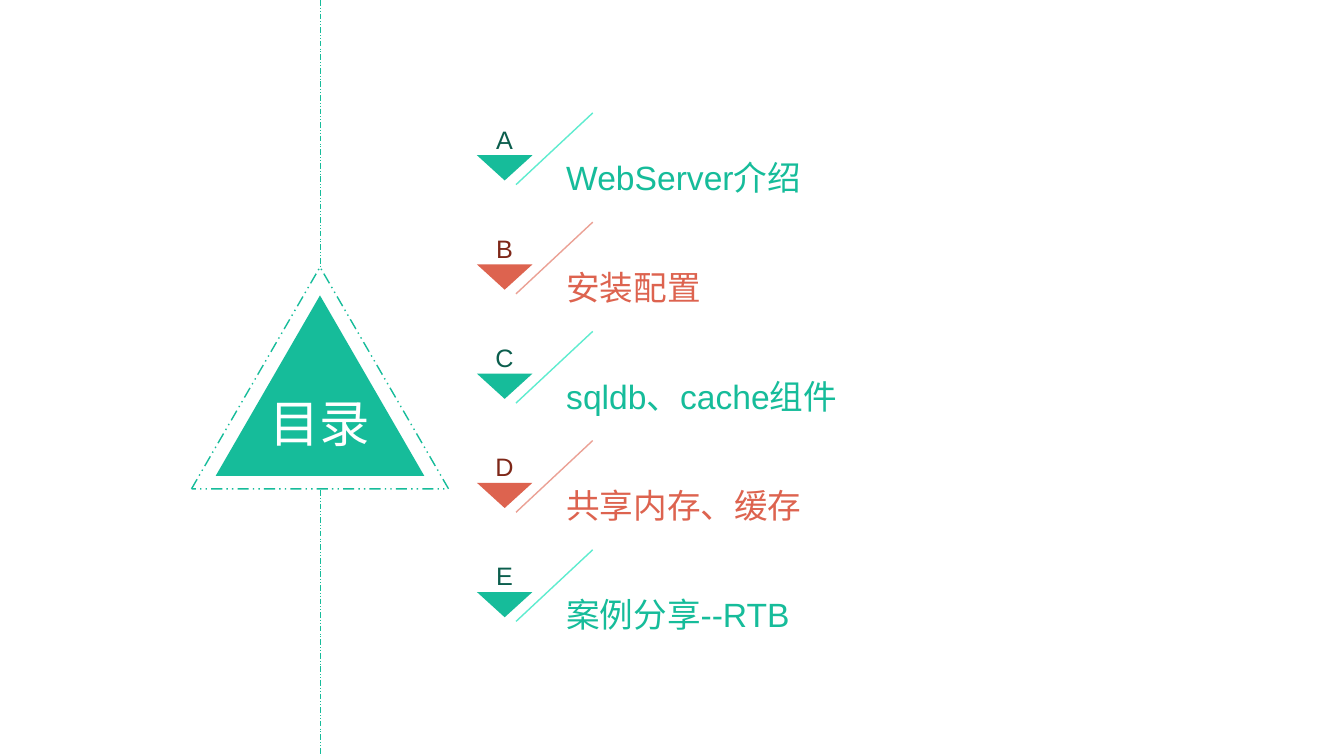
import dataclasses

import lxml.etree
import pptx
import pptx.dml.color
import pptx.enum.dml
import pptx.enum.shapes
import pptx.enum.text
import pptx.oxml.ns
import pptx.util

Pt = pptx.util.Pt
ANCHOR = pptx.enum.text.MSO_ANCHOR
ALIGN = pptx.enum.text.PP_ALIGN
DASH = pptx.enum.dml.MSO_LINE.DASH_DOT_DOT


@dataclasses.dataclass(frozen=True)
class Tone:
    main: str
    light: str
    dark: str


@dataclasses.dataclass(frozen=True)
class Theme:
    green: Tone = Tone("16BC9A", "5EECCF", "0B5E4D")
    red: Tone = Tone("DD634F", "EBA195", "7E2718")
    white: str = "FFFFFF"
    font: str = "Arial"
    title_size: int = 36
    entry_size: int = 24
    letter_size: int = 18


def color(value):
    return pptx.dml.color.RGBColor.from_string(value)


def write(shape, text, *, font, size, fill, align=ALIGN.LEFT,
          anchor=ANCHOR.MIDDLE, insets=(7.2, 3.6, 7.2, 3.6)):
    frame = shape.text_frame
    frame.word_wrap = True
    frame.vertical_anchor = anchor
    (frame.margin_left, frame.margin_top,
     frame.margin_right, frame.margin_bottom) = map(Pt, insets)
    paragraph = frame.paragraphs[0]
    paragraph.alignment = align
    run = paragraph.add_run()
    run.text = text
    run.font.name = font
    run.font.size = Pt(size)
    run.font.color.rgb = color(fill)


class Canvas:
    def __init__(self, slide, theme):
        self.slide = slide
        self.theme = theme
        self.shapes = slide.shapes

    def start_group(self):
        self.shapes = self.slide.shapes.add_group_shape().shapes

    def style(self, shape, fill=None, line=None):
        shape.shadow.inherit = False
        if fill:
            shape.fill.solid()
            shape.fill.fore_color.rgb = color(fill)
        else:
            shape.fill.background()
        if line:
            self.stroke(shape, line, 1, DASH)
        else:
            shape.line.fill.background()

    def stroke(self, shape, line, width, dash=None):
        shape.line.color.rgb = color(line)
        shape.line.width = Pt(width)
        if dash:
            shape.line.dash_style = dash

    def triangle(self, left, top, width, height, **look):
        shape = self.shapes.add_shape(
            pptx.enum.shapes.MSO_SHAPE.ISOSCELES_TRIANGLE,
            Pt(left), Pt(top), Pt(width), Pt(height))
        self.style(shape, **look)
        return shape

    def pointer(self, left, top, width, height, fill):
        builder = self.shapes.build_freeform(Pt(left), Pt(top))
        builder.add_line_segments([
            (Pt(left + width), Pt(top)),
            (Pt(left + width / 2), Pt(top + height))])
        self.style(builder.convert_to_shape(), fill=fill)

    def line(self, start, end, fill, width, dash=None):
        connector = self.shapes.add_connector(
            pptx.enum.shapes.MSO_CONNECTOR.STRAIGHT,
            *map(Pt, (*start, *end)))
        self.stroke(connector, fill, width, dash)
        lxml.etree.SubElement(connector.element.spPr,
                              pptx.oxml.ns.qn("a:effectLst"))

    def label(self, text, left, top, width, height, **text_format):
        shape = self.shapes.add_textbox(
            Pt(left), Pt(top), Pt(width), Pt(height))
        write(shape, text, font=self.theme.font, **text_format)

    def entry(self, letter, text, top, tone):
        self.start_group()
        self.line((423.4, top), (368.6, top + 51.2), tone.light, 1)
        self.pointer(340.7, top + 30.2, 39.6, 18, tone.main)
        self.label(text, 397.4, top + 23, 458.6, 46,
                   size=self.theme.entry_size, fill=tone.main)
        self.label(letter, 339.1, top - 11.5, 42.5, 41,
                   size=self.theme.letter_size, fill=tone.dark,
                   align=ALIGN.CENTER, anchor=ANCHOR.BOTTOM,
                   insets=(0, 0, 0, 0))


def main():
    presentation = pptx.Presentation()
    presentation.slide_width = Pt(960)
    presentation.slide_height = Pt(540)
    theme = Theme()
    slide = presentation.slides.add_slide(presentation.slide_layouts[6])
    canvas = Canvas(slide, theme)

    badge = canvas.triangle(154.1, 211, 149, 128.9, fill=theme.green.main)
    write(badge, "目录", font=theme.font, size=theme.title_size,
          fill=theme.white, align=ALIGN.CENTER, insets=(0, 0, 0, 11.5))
    canvas.triangle(136.8, 190.8, 183.6, 158.4, line=theme.green.main)
    axis = 229
    for top, bottom in ((0, 190.8), (350, 540)):
        canvas.line((axis, top), (axis, bottom), theme.green.main, 0.5, DASH)

    entries = ("WebServer介绍", "安装配置", "sqldb、cache组件",
               "共享内存、缓存", "案例分享--RTB")
    tones = (theme.green, theme.red)
    first_top, pitch = 80.7, 78
    for index, (letter, text) in enumerate(zip("ABCDE", entries)):
        canvas.entry(letter, text, first_top + index * pitch,
                     tones[index % len(tones)])

    presentation.save("out.pptx")


if __name__ == "__main__":
    main()
